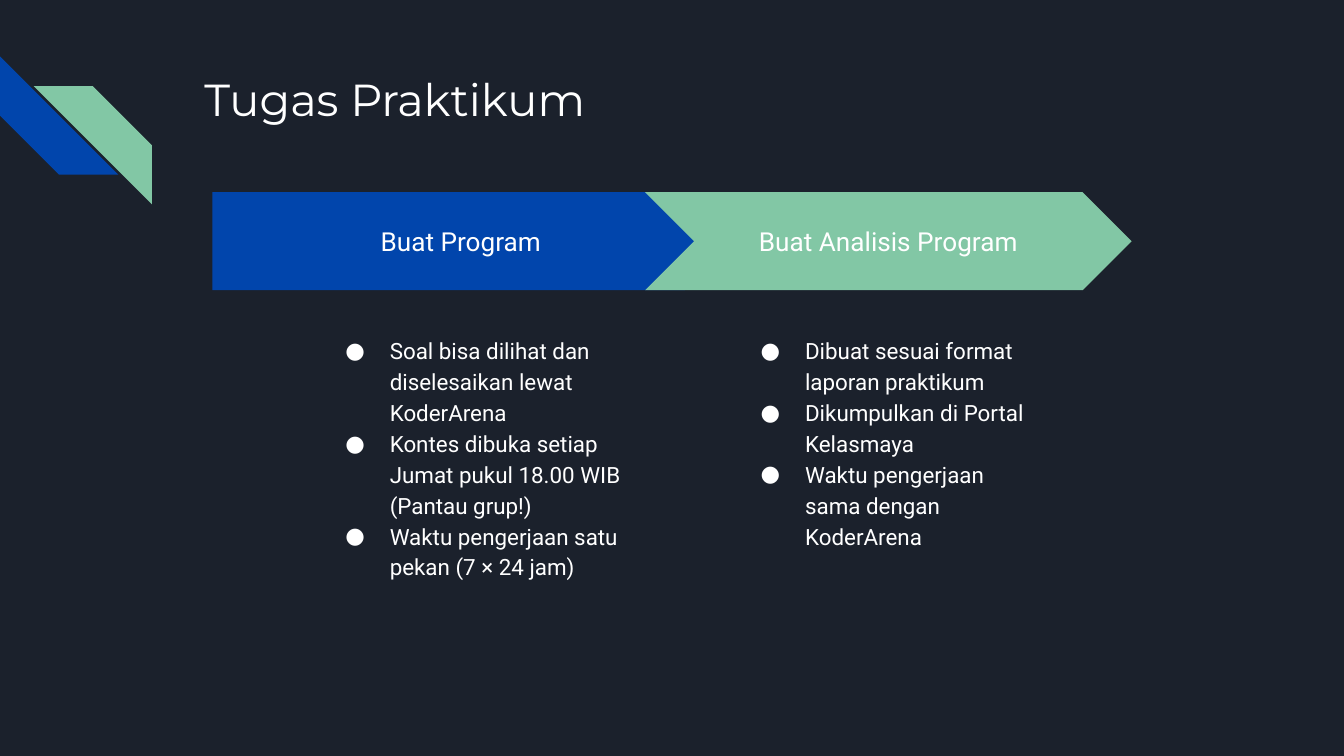
from lxml.etree import SubElement
from pptx import Presentation
from pptx.dml.color import RGBColor
from pptx.enum.shapes import MSO_SHAPE
from pptx.enum.text import MSO_ANCHOR, MSO_AUTO_SIZE, PP_ALIGN
from pptx.oxml.ns import qn
from pptx.util import Inches, Pt

NAVY = RGBColor(0x1B, 0x21, 0x2C)
BLUE = RGBColor(0x01, 0x45, 0xAC)
GREEN = RGBColor(0x82, 0xC7, 0xA5)
WHITE = RGBColor(0xFF, 0xFF, 0xFF)

ARROW_TOP, ARROW_HEIGHT = 1.43, 0.73
LIST_TOP, LIST_WIDTH, LIST_HEIGHT = 2.38, 2.45, 2.86
STRIPE_SIZE = 0.88

STEPS = [
    ("Buat Program", MSO_SHAPE.PENTAGON, BLUE, 1.58, 3.88, 2.3, [
        "Soal bisa dilihat dan diselesaikan lewat KoderArena",
        "Kontes dibuka setiap Jumat pukul 18.00 WIB (Pantau grup!)",
        "Waktu pengerjaan satu pekan (7 × 24 jam)",
    ]),
    ("Buat Analisis Program", MSO_SHAPE.CHEVRON, GREEN, 4.8, 3.62, 5.39, [
        "Dibuat sesuai format laporan praktikum",
        "Dikumpulkan di Portal Kelasmaya",
        "Waktu pengerjaan sama dengan KoderArena",
    ]),
]


def add_solid(kind, left, top, width, height, color):
    shape = page.shapes.add_shape(
        kind, Inches(left), Inches(top), Inches(width), Inches(height))
    shape.adjustments[0] = 0.5
    shape.shadow.inherit = False
    shape.fill.solid()
    shape.fill.fore_color.rgb = color
    shape.line.fill.background()
    return shape


def write(frame, texts, size, font, align, anchor):
    """Fill a text frame with one paragraph per text; return the paragraphs."""
    frame.word_wrap = True
    frame.auto_size = MSO_AUTO_SIZE.NONE
    frame.vertical_anchor = anchor
    frame.margin_left = frame.margin_right = Inches(0.1)
    frame.margin_top = frame.margin_bottom = Inches(0.1)
    for index, text in enumerate(texts):
        para = frame.paragraphs[0] if index == 0 else frame.add_paragraph()
        para.alignment = align
        para.space_before = Pt(0)
        span = para.add_run()
        span.text = text
        span.font.size = Pt(size)
        span.font.name = font
        span.font.color.rgb = WHITE
    return frame.paragraphs


deck = Presentation()
deck.slide_width, deck.slide_height = Inches(10), Inches(5.625)
page = deck.slides.add_slide(deck.slide_layouts.get_by_name("Two Content"))
page.background.fill.solid()
page.background.fill.fore_color.rgb = NAVY

# Corner stripes
blue_stripe = add_solid(
    MSO_SHAPE.DIAGONAL_STRIPE, 0, 0.42, STRIPE_SIZE, STRIPE_SIZE, BLUE)
blue_stripe.rotation = 270
green_stripe = add_solid(
    MSO_SHAPE.DIAGONAL_STRIPE, 0.25, 0.64, STRIPE_SIZE, STRIPE_SIZE, GREEN)
green_stripe.element.spPr.find(qn("a:xfrm")).set("flipH", "1")

# Title
title = page.shapes.title
title.left, title.top = Inches(1.42), Inches(0.43)
title.width, title.height = Inches(7.7), Inches(1)
write(title.text_frame, ["Tugas Praktikum"], 24, "Montserrat",
      PP_ALIGN.LEFT, MSO_ANCHOR.TOP)

# Each step: an arrow with its list below
for number, step in enumerate(STEPS, start=1):
    label, kind, color, arrow_left, arrow_width, list_left, items = step
    arrow = add_solid(
        kind, arrow_left, ARROW_TOP, arrow_width, ARROW_HEIGHT, color)
    write(arrow.text_frame, [label], 14, "Roboto",
          PP_ALIGN.CENTER, MSO_ANCHOR.MIDDLE)

    box = page.placeholders[number]
    box.left, box.top = Inches(list_left), Inches(LIST_TOP)
    box.width, box.height = Inches(LIST_WIDTH), Inches(LIST_HEIGHT)
    for para in write(box.text_frame, items, 12, "Roboto",
                      PP_ALIGN.LEFT, MSO_ANCHOR.TOP):
        para.line_spacing = 1.15
        properties = para._p.get_or_add_pPr()
        properties.set("marL", str(Inches(0.5)))
        properties.set("indent", str(Inches(-0.33)))
        bullet_color = SubElement(properties, qn("a:buClr"))
        SubElement(bullet_color, qn("a:srgbClr"), val=str(WHITE))
        SubElement(properties, qn("a:buFont"), typeface="Roboto")
        SubElement(properties, qn("a:buChar"), char="●")

deck.save("out.pptx")
